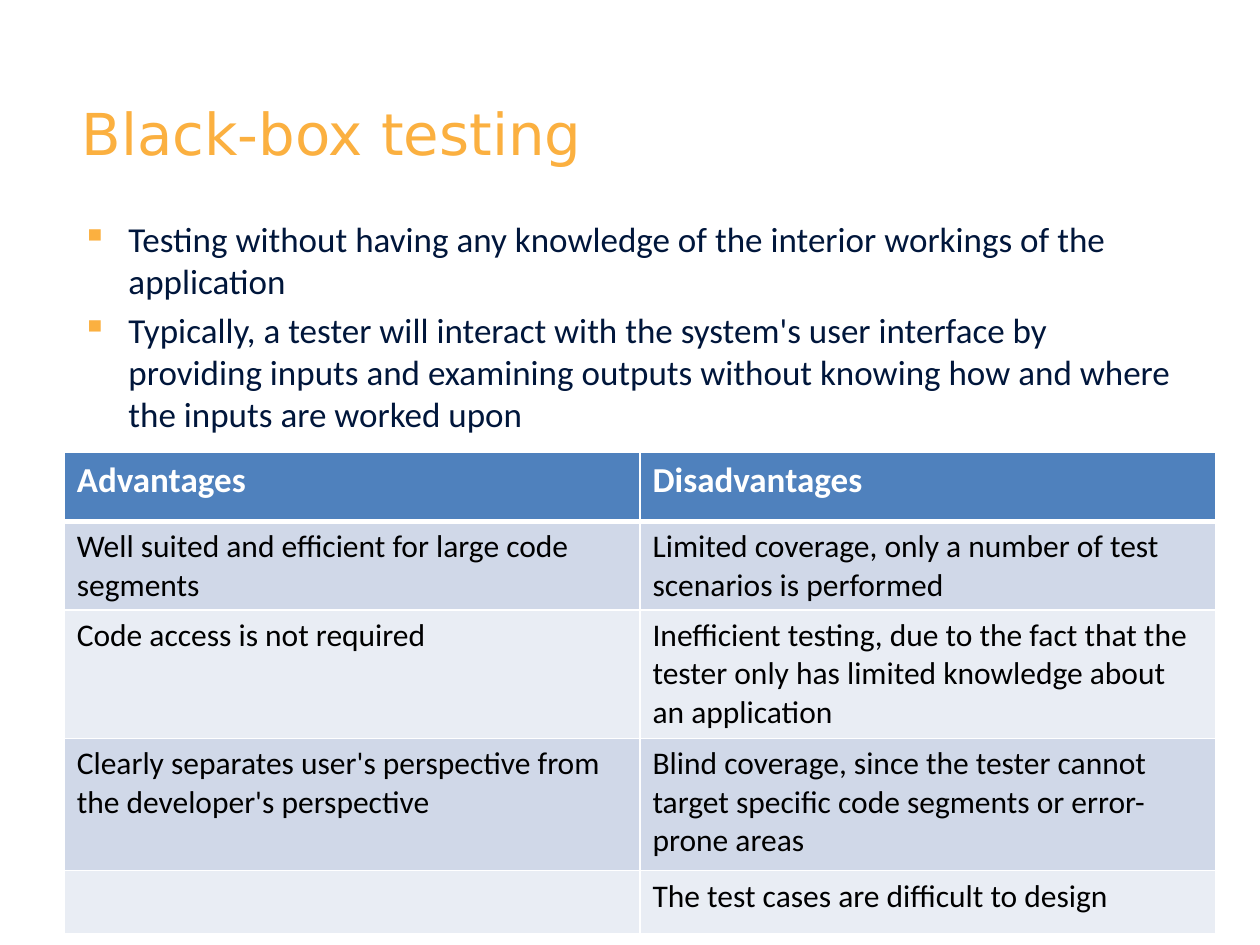
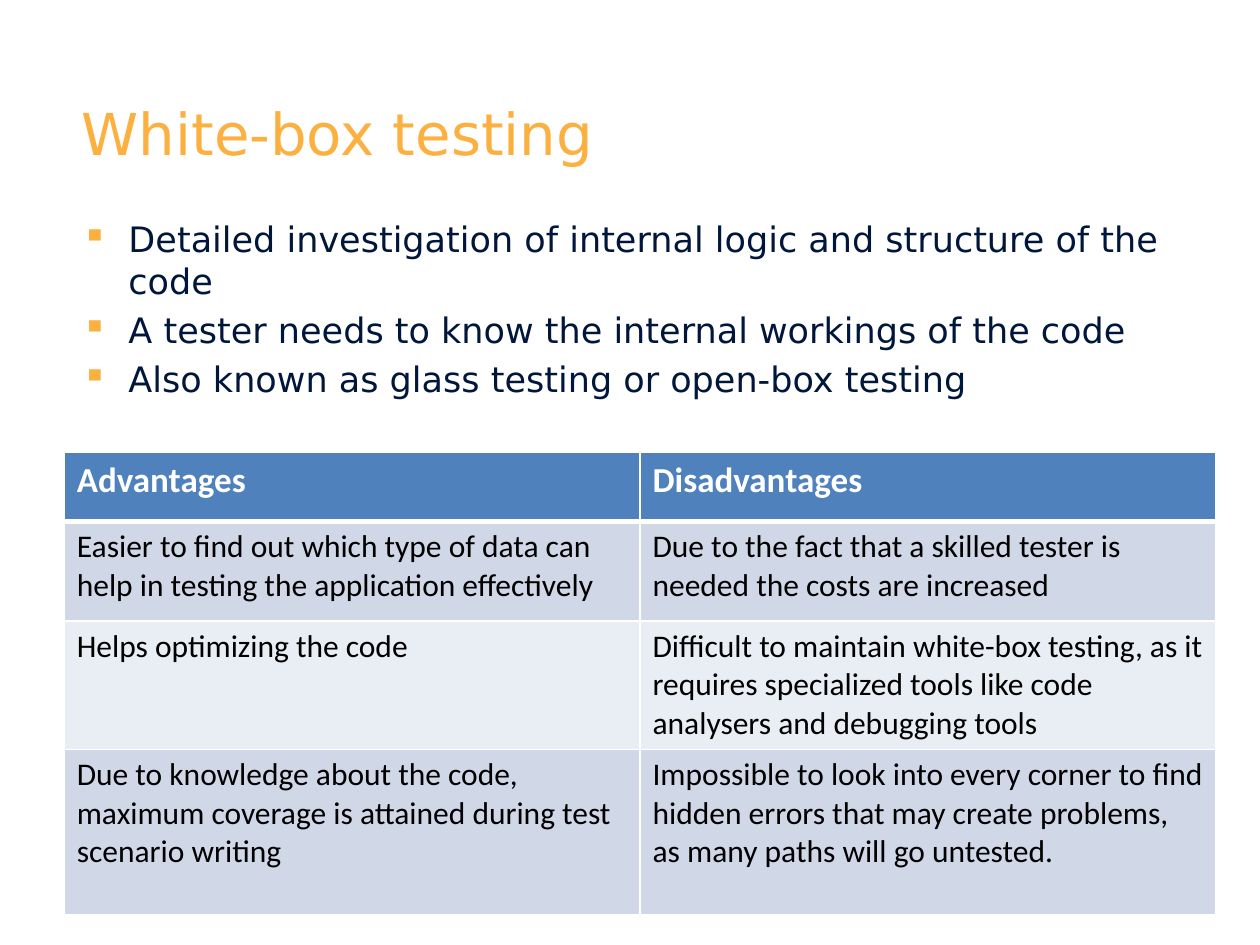
from lxml.etree import SubElement
from pptx import Presentation
from pptx.dml.color import RGBColor
from pptx.oxml.ns import qn
from pptx.util import Emu, Pt

SCALE = 9144  # EMU in one px, at 100 px to the inch
GOLD, NAVY, WHITE, BLACK = "FBB040", "00163B", "FFFFFF", "000000"
HEAD, BANDS = "4F81BD", ("E9EDF4", "D0D8E8")
SANS, BODY = "DejaVu Sans", "Calibri"
INDENT = 37


def px(count):
    return Emu(count * SCALE)


def color(text):
    return RGBColor.from_string(text)


class Deck:
    def __init__(self):
        self.file = Presentation()
        self.file.slide_width, self.file.slide_height = px(1000), px(750)
        self.slide = None

    def page(self):
        self.slide = self.file.slides.add_slide(self.file.slide_layouts[6])

    def style(self, para, size, face, ink, bold=False):
        font = para.font
        font.size, font.name, font.bold = Pt(size), face, bold
        font.color.rgb = color(ink)

    def frame(self, top, height):
        box = self.slide.shapes.add_textbox(px(56), px(top), px(884), px(height))
        frame = box.text_frame
        frame.word_wrap = True
        frame.margin_left = frame.margin_right = px(9)
        frame.margin_top = frame.margin_bottom = px(5)
        return frame

    def title(self, text):
        para = self.frame(73, 81).paragraphs[0]
        para.text = text
        self.style(para, 33, SANS, GOLD)

    def bullets(self, items, face):
        frame = self.frame(168, 538)
        for i, item in enumerate(items):
            para = frame.add_paragraph() if i else frame.paragraphs[0]
            para.text = item
            self.style(para, 20, face, NAVY)
            if i:
                para.space_before = Pt(4)
            props = para._p.get_or_add_pPr()
            props.set("marL", str(px(INDENT)))
            props.set("indent", str(px(-INDENT)))
            tint = SubElement(props, qn("a:buClr"))
            SubElement(tint, qn("a:srgbClr"), val=GOLD)
            SubElement(props, qn("a:buChar"), char="▪")

    def edges(self, cell, top, bottom):
        """Draw white borders; top and bottom are widths in points."""
        props = cell._tc.get_or_add_tcPr()
        for side, width in zip("LRTB", (1, 1, top, bottom)):
            line = SubElement(props, qn(f"a:ln{side}"), w=str(Pt(width)))
            fill = SubElement(line, qn("a:solidFill"))
            SubElement(fill, qn("a:srgbClr"), val=WHITE)

    def table(self, rows, heights):
        rows = [("Advantages", "Disadvantages"), *rows]
        heights = [55, *heights]
        grid = self.slide.shapes.add_table(
            len(rows), 2, px(51), px(359), px(914), px(sum(heights))).table
        for r, (row, height) in enumerate(zip(rows, heights)):
            grid.rows[r].height = px(height)
            for c, text in enumerate(row):
                cell = grid.cell(r, c)
                cell.text = text
                self.edges(cell, 3 if r == 1 else 1, 1 if r else 3)
                cell.fill.solid()
                cell.fill.fore_color.rgb = color(BANDS[r % 2] if r else HEAD)
                look = (18, BODY, BLACK) if r else (20, BODY, WHITE, True)
                self.style(cell.text_frame.paragraphs[0], *look)


def main():
    deck = Deck()

    deck.page()
    deck.title("Black-box testing")
    deck.bullets([
        "Testing without having any knowledge of the interior workings of the application",
        "Typically, a tester will interact with the system's user interface by providing "
        "inputs and examining outputs without knowing how and where the inputs are worked upon",
    ], BODY)
    deck.table([
        ("Well suited and efficient for large code segments",
         "Limited coverage, only a number of test scenarios is performed"),
        ("Code access is not required",
         "Inefficient testing, due to the fact that the tester only has limited "
         "knowledge about an application"),
        ("Clearly separates user's perspective from the developer's perspective",
         "Blind coverage, since the tester cannot target specific code segments or "
         "error-prone areas"),
        ("", "The test cases are difficult to design"),
    ], [70, 102, 105, 50])

    deck.page()
    deck.title("White-box testing")
    deck.bullets([
        "Detailed investigation of internal logic and structure of the code",
        "A tester needs to know the internal workings of the code",
        "Also known as glass testing or open-box testing",
    ], SANS)
    deck.table([
        ("Easier to find out which type of data can help in testing the application effectively",
         "Due to the fact that a skilled tester is needed the costs are increased"),
        ("Helps optimizing the code",
         "Difficult to maintain white-box testing, as it requires specialized tools like "
         "code analysers and debugging tools"),
        ("Due to knowledge about the code, maximum coverage is attained during test "
         "scenario writing",
         "Impossible to look into every corner to find hidden errors that may create "
         "problems, as many paths will go untested."),
    ], [79, 102, 131])

    deck.file.save("out.pptx")


if __name__ == "__main__":
    main()
